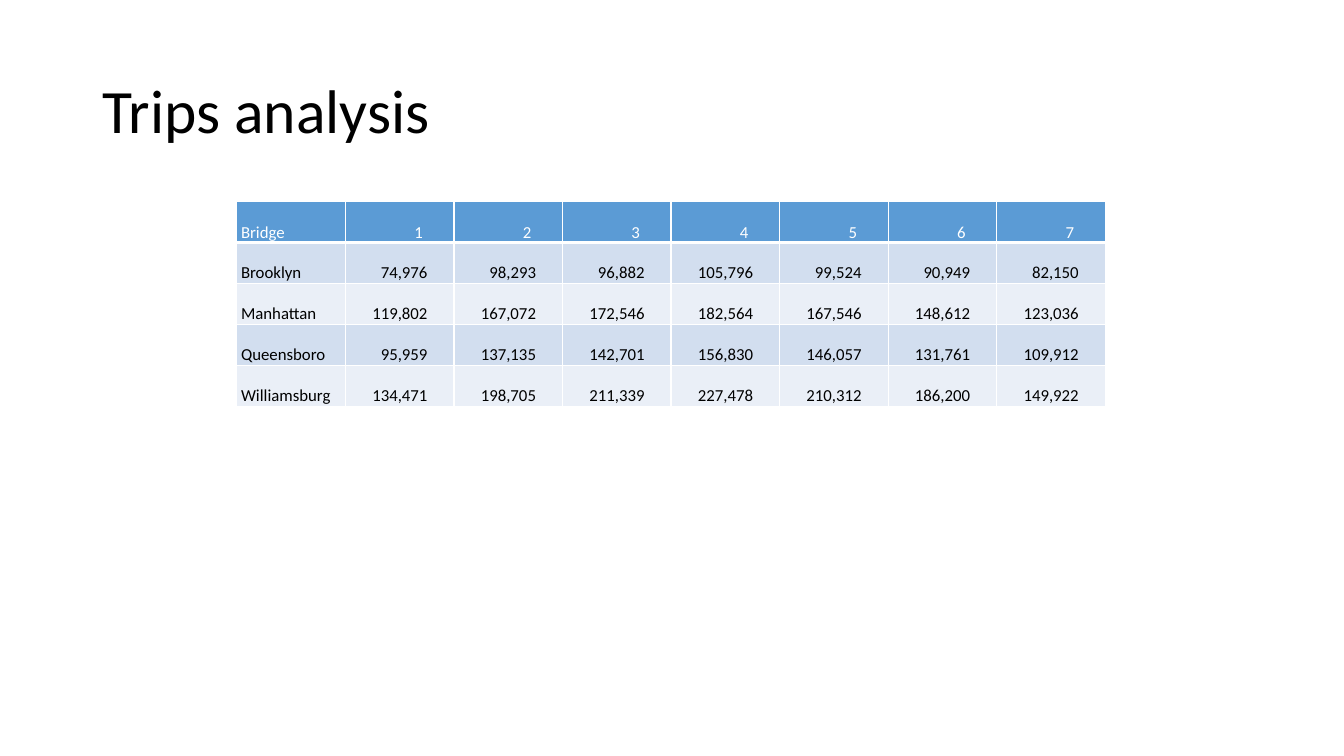
from dataclasses import dataclass

from lxml import etree
from pptx import Presentation
from pptx.dml.color import RGBColor
from pptx.enum.text import MSO_ANCHOR, PP_ALIGN
from pptx.oxml.ns import qn
from pptx.slide import Slide
from pptx.table import _Cell
from pptx.text.text import _Paragraph
from pptx.util import Emu, Inches, Pt

LEFT, RIGHT = PP_ALIGN.LEFT, PP_ALIGN.RIGHT
MIDDLE, BOTTOM = MSO_ANCHOR.MIDDLE, MSO_ANCHOR.BOTTOM
TITLE_ONLY = 5
GRID_COLS, GRID_ROWS = 160, 90
UNIT = Inches(1 / 12)


@dataclass(frozen=True)
class Theme:
    font: str = "Calibri"
    title_size: float = 44
    table_size: float = 12
    text: str = "000000"
    header_text: str = "FFFFFF"
    header_fill: str = "5B9BD5"
    bands: tuple[str, str] = ("D2DEEF", "EAEFF7")
    border: str = "FFFFFF"
    border_width: float = 1
    header_rule: float = 3


@dataclass(frozen=True)
class Box:
    """A rectangle in grid columns and rows."""
    col: float
    row: float
    cols: float
    rows: float

    def emu(self) -> tuple[Emu, ...]:
        return tuple(Emu(round(n * UNIT))
                     for n in (self.col, self.row, self.cols, self.rows))


@dataclass(frozen=True)
class BridgeTrips:
    bridge: str
    trips: tuple[int, ...]


THEME = Theme()
TITLE_BOX = Box(11, 4.8, 138, 17.4)
TABLE_BOX = Box(28.2, 24, 103.4, 24.4)
LABEL_INDENT = 0.5
HEADER_INDENT = 3.7
NUMBER_INDENT = 3.15
EDGE = 0.12

BRIDGES = (
    BridgeTrips("Brooklyn", (74976, 98293, 96882, 105796, 99524, 90949, 82150)),
    BridgeTrips("Manhattan", (119802, 167072, 172546, 182564, 167546, 148612, 123036)),
    BridgeTrips("Queensboro", (95959, 137135, 142701, 156830, 146057, 131761, 109912)),
    BridgeTrips("Williamsburg", (134471, 198705, 211339, 227478, 210312, 186200, 149922)),
)


def format_runs(p: _Paragraph, size: float, color: str) -> None:
    for r in p.runs:
        r.font.name = THEME.font
        r.font.size = Pt(size)
        r.font.bold = False
        r.font.color.rgb = RGBColor.from_string(color)


def set_borders(cell: _Cell, bottom: float) -> None:
    """Draw all four borders, placed before the cell's fill as the schema asks."""
    widths = {"a:lnL": THEME.border_width, "a:lnR": THEME.border_width,
              "a:lnT": THEME.border_width, "a:lnB": bottom}
    tc_pr = cell._tc.get_or_add_tcPr()
    for i, (tag, width) in enumerate(widths.items()):
        ln = etree.Element(qn(tag), w=str(Pt(width)))
        fill = etree.SubElement(ln, qn("a:solidFill"))
        etree.SubElement(fill, qn("a:srgbClr"), val=THEME.border)
        tc_pr.insert(i, ln)


def fill_cell(cell: _Cell, text: str, row: int, col: int) -> None:
    is_header, is_label = row == 0, col == 0
    cell.text_frame.text = text
    p = cell.text_frame.paragraphs[0]
    p.alignment = LEFT if is_label else RIGHT
    format_runs(p, THEME.table_size, THEME.header_text if is_header else THEME.text)

    indent = HEADER_INDENT if is_header else NUMBER_INDENT
    cell.margin_left = round((LABEL_INDENT if is_label else EDGE) * UNIT)
    cell.margin_right = round((EDGE if is_label else indent) * UNIT)
    cell.margin_top = round(EDGE * UNIT)
    cell.margin_bottom = 0
    cell.vertical_anchor = BOTTOM

    cell.fill.solid()
    color = THEME.header_fill if is_header else THEME.bands[(row - 1) % 2]
    cell.fill.fore_color.rgb = RGBColor.from_string(color)
    set_borders(cell, THEME.header_rule if is_header else THEME.border_width)


def set_title(slide: Slide, text: str) -> None:
    sp = slide.shapes.title
    sp.left, sp.top, sp.width, sp.height = TITLE_BOX.emu()
    tf = sp.text_frame
    tf.text = text
    tf.vertical_anchor = MIDDLE
    p = tf.paragraphs[0]
    p.alignment = LEFT
    p.line_spacing = 0.9
    format_runs(p, THEME.title_size, THEME.text)


def add_trips_table(slide: Slide, bridges: tuple[BridgeTrips, ...]) -> None:
    days = range(1, len(bridges[0].trips) + 1)
    rows = [["Bridge", *map(str, days)]]
    rows += [[b.bridge, *(f"{n:,}" for n in b.trips)] for b in bridges]
    table = slide.shapes.add_table(len(rows), len(rows[0]), *TABLE_BOX.emu()).table
    for i, row in enumerate(rows):
        for j, text in enumerate(row):
            fill_cell(table.cell(i, j), text, i, j)


def main() -> None:
    prs = Presentation()
    prs.slide_width, prs.slide_height = GRID_COLS * UNIT, GRID_ROWS * UNIT
    slide = prs.slides.add_slide(prs.slide_layouts[TITLE_ONLY])
    set_title(slide, "Trips analysis")
    add_trips_table(slide, BRIDGES)
    prs.save("out.pptx")


if __name__ == "__main__":
    main()
